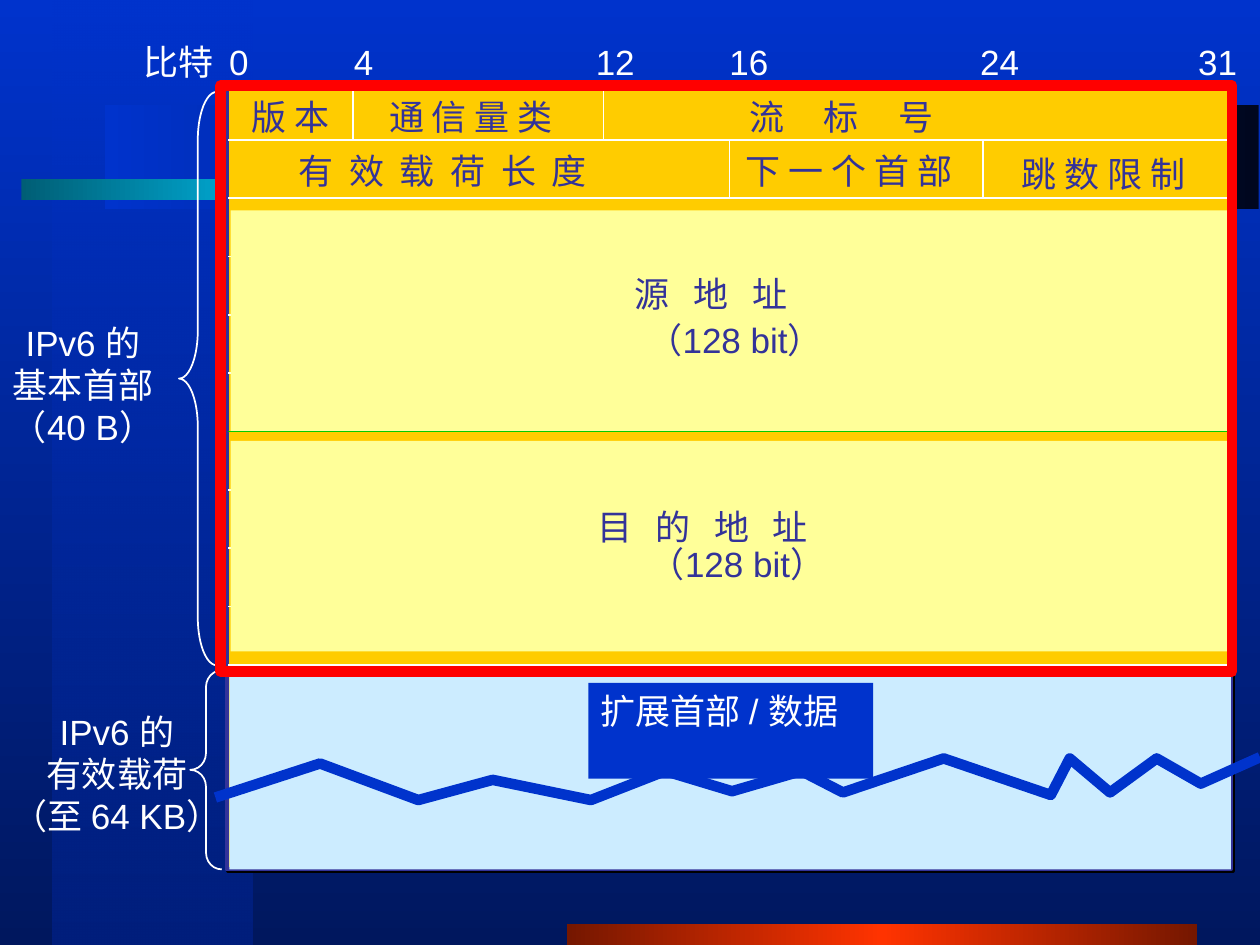
from dataclasses import dataclass
from typing import NamedTuple

from lxml import etree
from pptx import Presentation
from pptx.dml.color import RGBColor
from pptx.enum.shapes import MSO_CONNECTOR, MSO_SHAPE
from pptx.enum.text import MSO_ANCHOR, MSO_AUTO_SIZE, PP_ALIGN
from pptx.oxml.ns import qn
from pptx.util import Inches, Pt

RECTANGLE = MSO_SHAPE.RECTANGLE
LEFT_BRACE = MSO_SHAPE.LEFT_BRACE
STRAIGHT = MSO_CONNECTOR.STRAIGHT
LEFT, CENTER = PP_ALIGN.LEFT, PP_ALIGN.CENTER
TOP = MSO_ANCHOR.TOP
NO_AUTOSIZE = MSO_AUTO_SIZE.NONE


@dataclass(frozen=True)
class Theme:
    font: str = "Arial"
    text_size: float = 20
    space_width: float = 4.5
    thin: float = 1
    border: float = 2.25
    thick: float = 6
    white: str = "FFFFFF"
    black: str = "000000"
    blue: str = "0033CC"
    ink: str = "333399"
    gold: str = "FFCC00"
    cream: str = "FFFF99"
    sky: str = "CCECFF"
    green: str = "00CC00"
    red: str = "FF0000"


class Area(NamedTuple):
    left: float
    top: float
    width: float
    height: float


class Stop(NamedTuple):
    position: int
    color: str
    opacity: int = 100


class Band(NamedTuple):
    area: Area
    stops: list[Stop]
    angle: int


class Label(NamedTuple):
    lines: list[str]
    area: Area
    color: str
    gap: int = 1
    align: PP_ALIGN = LEFT


class Brace(NamedTuple):
    area: Area
    curl: float


THEME = Theme()
TEXT_HEIGHT = 0.43
ROW_TOP, ROW_STEP, ROW_COUNT, SPLIT_ROW = 1.11, 0.463, 10, 5
TABLE_LEFT, TABLE_RIGHT = 1.81, 9.79

BANDS = [
    Band(Area(0.42, 0, 1.58, 7.5), [Stop(0, THEME.blue, 50), Stop(100, "001F7D")], 90),
    Band(Area(4.5, 7.33, 5, 0.17),
         [Stop(0, "751700"), Stop(50, "FF3300"), Stop(100, "751700")], 180),
    Band(Area(0.83, 0.83, 9.16, 0.83), [Stop(0, "00071F"), Stop(100, THEME.blue)], 180),
    Band(Area(0.17, 1.42, 5.17, 0.17),
         [Stop(0, "005E75"), Stop(50, "00CCFF"), Stop(100, "005E75")], 180),
]

DIVIDERS = [(2.8, 0.69, 1.11), (4.79, 0.69, 1.11), (5.79, 1.11, 1.57), (7.8, 1.11, 1.57)]

BIT_MARKS = [("比特", 1.04, 0.76), ("0", 1.72, 0.35), ("4", 2.71, 0.35), ("12", 4.63, 0.51),
             ("16", 5.69, 0.51), ("24", 7.68, 0.51), ("31", 9.41, 0.51)]

FIELDS = [
    ("版 本", 1.9, 0.71, 0.89, 1),
    ("通 信 量 类", 2.99, 0.71, 1.73, 1),
    ("流 标 号", 5.85, 0.71, 2.43, 5),
    ("有 效 载 荷 长 度", 2.27, 1.14, 3.26, 2),
    ("下 一 个 首 部", 5.82, 1.14, 2.15, 1),
    ("跳 数 限 制", 8.01, 1.16, 1.73, 1),
    ("源 地 址", 4.94, 2.11, 1.87, 3),
    ("（128 bit）", 5.04, 2.48, 1.72, 1),
    ("目 的 地 址", 4.64, 3.96, 2.56, 3),
    ("（128 bit）", 5.06, 4.26, 1.72, 1),
]

LABELS = [
    *(Label([text], Area(left, 0.27, width, TEXT_HEIGHT), THEME.white)
      for text, left, width in BIT_MARKS),
    *(Label([text], Area(left, top, width, TEXT_HEIGHT), THEME.ink, gap)
      for text, left, top, width, gap in FIELDS),
    Label(["IPv6 的", "基本首部", "（40 B）"], Area(-0.07, 2.5, 1.46, 1.1),
          THEME.white, align=CENTER),
    Label(["IPv6 的", "有效载荷", "（至 64 KB）"], Area(-0.1, 5.59, 2.06, 1.1),
          THEME.white, align=CENTER),
]

BRACES = [Brace(Area(1.42, 0.73, 0.3, 4.55), 1.27), Brace(Area(1.51, 5.32, 0.25, 1.58), 0.53)]

WAVE = [(1.71, 6.33), (2.54, 6.06), (3.32, 6.35), (3.91, 6.19), (4.69, 6.35), (5.28, 6.12),
        (5.81, 6.28), (6.36, 6.12), (6.69, 6.29), (7.49, 6.02), (8.34, 6.31), (8.49, 6.02),
        (8.81, 6.29), (9.18, 6.02), (9.53, 6.22), (10, 6.01)]


def add_color(parent, color: str, opacity: int = 100) -> None:
    node = etree.SubElement(parent, qn("a:srgbClr"), val=color)
    if opacity < 100:
        etree.SubElement(node, qn("a:alpha"), val=str(opacity * 1000))


def paint_gradient(owner, fill, stops: list[Stop], angle: int) -> None:
    fill.gradient()
    gradient = owner.find(".//" + qn("a:gradFill"))
    for child in list(gradient):
        gradient.remove(child)
    stop_list = etree.SubElement(gradient, qn("a:gsLst"))
    for stop in stops:
        node = etree.SubElement(stop_list, qn("a:gs"), pos=str(stop.position * 1000))
        add_color(node, stop.color, stop.opacity)
    etree.SubElement(gradient, qn("a:lin"), ang=str(angle * 60000), scaled="0")


def set_line(shape, color: str | None, width: float) -> None:
    if color is None:
        shape.line.fill.background()
        return
    shape.line.color.rgb = RGBColor.from_string(color)
    shape.line.width = Pt(width)


def add_box(page, area: Area, fill: str | None = None, line: str | None = None,
            width: float = THEME.thin, kind: MSO_SHAPE = RECTANGLE):
    shape = page.shapes.add_shape(kind, *map(Inches, area))
    shape.shadow.inherit = False
    if fill is None:
        shape.fill.background()
    else:
        shape.fill.solid()
        shape.fill.fore_color.rgb = RGBColor.from_string(fill)
    set_line(shape, line, width)
    return shape


def add_shadow(shape) -> None:
    effects = shape._element.spPr.find(qn("a:effectLst"))
    shadow = etree.SubElement(effects, qn("a:outerShdw"), dist=str(Pt(1.4)),
                              dir=str(45 * 60000), algn="ctr", rotWithShape="0")
    add_color(shadow, THEME.black)


def add_rule(page, start: tuple[float, float], end: tuple[float, float], color: str) -> None:
    rule = page.shapes.add_connector(STRAIGHT, *map(Inches, (*start, *end)))
    set_line(rule, color, THEME.thin)
    etree.SubElement(rule._element.spPr, qn("a:effectLst"))


def write_text(shape, lines: list[str], color: str, wrap: bool, gap: int = 1,
               align: PP_ALIGN = LEFT) -> None:
    frame = shape.text_frame
    frame.word_wrap = wrap
    frame.auto_size = NO_AUTOSIZE
    frame.vertical_anchor = TOP
    for index, line in enumerate(lines):
        para = frame.add_paragraph() if index else frame.paragraphs[0]
        para.alignment = align
        span = para.add_run()
        span.text = line
        span.font.name = THEME.font
        span.font.size = Pt(THEME.text_size)
        span.font.color.rgb = RGBColor.from_string(color)
        if gap > 1:
            spacing = (gap - 1) * THEME.space_width / 2
            span.font._element.set("spc", str(round(spacing * 100)))


def add_label(page, label: Label) -> None:
    box = page.shapes.add_textbox(*map(Inches, label.area))
    write_text(box, label.lines, label.color, False, label.gap, label.align)


def add_wave(page, points: list[tuple[float, float]]) -> None:
    corners = [(Inches(x), Inches(y)) for x, y in points]
    builder = page.shapes.build_freeform(*corners[0])
    builder.add_line_segments(corners[1:], close=False)
    wave = builder.convert_to_shape()
    wave.shadow.inherit = False
    wave.fill.background()
    set_line(wave, THEME.blue, THEME.thick)


def main() -> None:
    deck = Presentation()
    deck.slide_width, deck.slide_height = Inches(10), Inches(7.5)
    page = deck.slides.add_slide(deck.slide_layouts[6])
    paint_gradient(page.element, page.background.fill,
                   [Stop(0, THEME.blue), Stop(100, "00175E")], 90)
    for band in BANDS:
        box = add_box(page, band.area)
        paint_gradient(box._element, box.fill, band.stops, band.angle)

    add_shadow(add_box(page, Area(1.8, 0.69, 7.97, 6.21), THEME.gold, THEME.ink, THEME.border))
    for row in range(ROW_COUNT):
        y = ROW_TOP + row * ROW_STEP
        color = THEME.green if row == SPLIT_ROW else THEME.white
        add_rule(page, (TABLE_LEFT, y), (TABLE_RIGHT, y), color)
    for x, top, bottom in DIVIDERS:
        add_rule(page, (x, top), (x, bottom), THEME.white)
    for top, height in ((3.5, 1.67), (1.67, 1.75)):
        add_box(page, Area(1.83, top, 7.92, height), THEME.cream)

    add_box(page, Area(1.82, 5.3, 7.95, 1.6), THEME.sky)
    add_wave(page, WAVE)
    payload = add_box(page, Area(4.67, 5.42, 2.26, 0.76), THEME.blue)
    write_text(payload, ["扩展首部 / 数据"], THEME.white, True)
    for brace in BRACES:
        shape = add_box(page, brace.area, line=THEME.white, kind=LEFT_BRACE)
        shape.adjustments[0] = brace.curl
    for label in LABELS:
        add_label(page, label)
    add_box(page, Area(1.75, 0.68, 8.03, 4.65), line=THEME.red, width=THEME.thick)
    deck.save("out.pptx")


if __name__ == "__main__":
    main()
